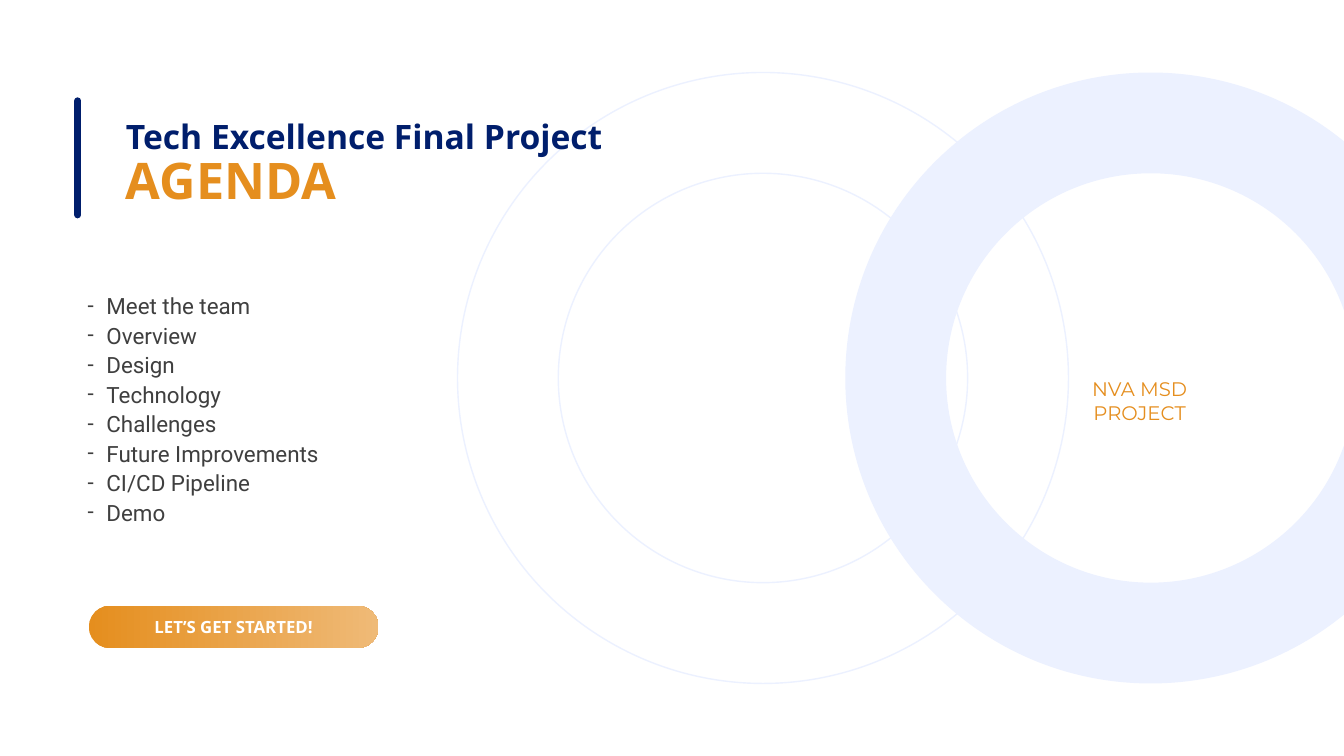
"""Build the agenda slide of the final project deck."""
import math

from lxml import etree
from pptx import Presentation
from pptx import util as u
from pptx.dml import color
from pptx.enum import shapes, text
from pptx.oxml import ns

TITLE = [("Tech Excellence Final Project", 24, "navy", 1.0), ("AGENDA", 36, "orange", 0.9)]
AGENDA = ["Meet the team", "Overview", "Design", "Technology", "Challenges",
          "Future Improvements", "CI/CD Pipeline", "Demo"]
BUTTON = "LET’S GET STARTED!"
LABEL = "NVA MSD PROJECT"
COLORS = {"navy": "001E6C", "orange": "E58E1E", "sand": "EFBA77",
          "ice": "ECF1FF", "gray": "3F3F3F", "white": "FFFFFF"}

WIDTH, HEIGHT = 960, 540
CENTER_Y = HEIGHT / 2
OUTER, INNER = 218.2, 146.2
SOLID_X, OUTLINE_X = 822, 545
UNITS = 100
INDENT = 13.5


def rgb(name):
    return color.RGBColor.from_string(COLORS[name])


def add_run(paragraph, words, size, font, tone, bold=False):
    run = paragraph.add_run()
    run.text = words
    run.font.size, run.font.name, run.font.bold = u.Pt(size), font, bold
    run.font.color.rgb = rgb(tone)


def set_frame(frame, anchor, margins=(0, 0)):
    frame.word_wrap = True
    frame.auto_size = text.MSO_AUTO_SIZE.NONE
    frame.vertical_anchor = anchor
    frame.margin_left = frame.margin_right = u.Pt(margins[0])
    frame.margin_top = frame.margin_bottom = u.Pt(margins[1])


def box(left, top, width, height):
    return [u.Pt(value) for value in (left, top, width, height)]


def clipped_arc(radius):
    """Return Bezier points from the upper to the lower crossing of the right edge."""
    def at(angle, pull=0):
        x = math.cos(angle) - pull * math.sin(angle)
        y = math.sin(angle) + pull * math.cos(angle)
        return (SOLID_X + radius * x) * UNITS, (CENTER_Y - radius * y) * UNITS

    start = math.acos((WIDTH - SOLID_X) / radius)
    angles = [start, math.pi / 2, math.pi, 1.5 * math.pi, 2 * math.pi - start]
    points = [at(start)]
    for begin, end in zip(angles, angles[1:]):
        pull = 4 / 3 * math.tan((end - begin) / 4)
        points += [at(begin, pull), at(end, -pull), at(end)]
    return points


def round_segments(ring, straight):
    """Join the line segments in threes into curves, except the straight one."""
    lines = list(ring.element.iter(ns.qn("a:lnTo")))
    curved = lines[:straight] + lines[straight + 1:]
    for first in range(0, len(curved), 3):
        curve = etree.Element(ns.qn("a:cubicBezTo"))
        curved[first].addprevious(curve)
        for line in curved[first:first + 3]:
            curve.append(line[0])
            line.getparent().remove(line)


def add_rings(slide):
    outer, inner = clipped_arc(OUTER), clipped_arc(INNER)[::-1]
    builder = slide.shapes.build_freeform(*outer[0], scale=u.Pt(1) / UNITS)
    builder.add_line_segments(outer[1:] + inner, close=True)
    solid = builder.convert_to_shape()
    round_segments(solid, len(outer) - 1)
    solid.shadow.inherit = False
    solid.fill.solid()
    solid.fill.fore_color.rgb = rgb("ice")
    solid.line.fill.background()

    outline = slide.shapes.add_shape(shapes.MSO_SHAPE.DONUT, *box(
        OUTLINE_X - OUTER, CENTER_Y - OUTER, 2 * OUTER, 2 * OUTER))
    outline.adjustments[0] = (OUTER - INNER) / (2 * OUTER)
    outline.shadow.inherit = False
    outline.fill.background()
    outline.line.color.rgb = rgb("ice")
    outline.line.width = u.Pt(1)
    return outline


def add_title(slide, backdrop):
    title = slide.shapes.title
    title.left, title.top, title.width, title.height = box(90, 77, 376, 79)
    backdrop.element.addnext(title.element)
    frame = title.text_frame
    set_frame(frame, text.MSO_ANCHOR.MIDDLE)
    for index, (words, size, tone, spacing) in enumerate(TITLE):
        line = frame.add_paragraph() if index else frame.paragraphs[0]
        line.alignment = text.PP_ALIGN.LEFT
        line.line_spacing = spacing
        line.space_before = u.Pt(0)
        add_run(line, words, size, "Open Sans", tone, True)

    accent = slide.shapes.add_connector(
        shapes.MSO_CONNECTOR.STRAIGHT, u.Pt(55.6), u.Pt(72), u.Pt(55.6), u.Pt(153.5))
    accent.line.color.rgb = rgb("navy")
    accent.line.width = u.Pt(5)
    accent.line._get_or_add_ln().set("cap", "rnd")
    etree.SubElement(accent.element.spPr, ns.qn("a:effectLst"))


def add_agenda(slide):
    frame = slide.shapes.add_textbox(*box(62.6, 206.9, 410, 174)).text_frame
    set_frame(frame, text.MSO_ANCHOR.TOP)
    for index, topic in enumerate(AGENDA):
        item = frame.add_paragraph() if index else frame.paragraphs[0]
        properties = item._p.get_or_add_pPr()
        properties.set("marL", str(u.Pt(INDENT)))
        properties.set("indent", str(-u.Pt(INDENT)))
        tint = etree.SubElement(properties, ns.qn("a:buClr"))
        etree.SubElement(tint, ns.qn("a:srgbClr"), val=COLORS["gray"])
        etree.SubElement(properties, ns.qn("a:buFont"), typeface="Roboto")
        etree.SubElement(properties, ns.qn("a:buChar"), char="-")
        item.line_spacing = 1.1
        add_run(item, topic, 16, "Roboto", "gray")


def add_button(slide):
    button = slide.shapes.add_shape(
        shapes.MSO_SHAPE.ROUNDED_RECTANGLE, *box(63.4, 432.7, 207, 30.2))
    button.adjustments[0] = 0.5
    button.shadow.inherit = False
    button.fill.gradient()
    button.fill.gradient_angle = 0
    for stop, tone in zip(button.fill.gradient_stops, ("orange", "sand")):
        stop.color.rgb = rgb(tone)
    button.line.fill.background()
    set_frame(button.text_frame, text.MSO_ANCHOR.MIDDLE)
    caption = button.text_frame.paragraphs[0]
    caption.alignment = text.PP_ALIGN.CENTER
    add_run(caption, BUTTON, 12, "Open Sans", "white", True)


def add_label(slide):
    frame = slide.shapes.add_textbox(*box(749.5, 266, 129, 41)).text_frame
    set_frame(frame, text.MSO_ANCHOR.TOP, (7.2, 3.6))
    label = frame.paragraphs[0]
    label.alignment = text.PP_ALIGN.CENTER
    add_run(label, LABEL, 14, "Montserrat", "orange")


def main():
    deck = Presentation()
    deck.slide_width, deck.slide_height = u.Pt(WIDTH), u.Pt(HEIGHT)
    slide = deck.slides.add_slide(deck.slide_layouts.get_by_name("Title Only"))
    add_title(slide, add_rings(slide))
    add_agenda(slide)
    add_button(slide)
    add_label(slide)
    deck.save("out.pptx")


if __name__ == "__main__":
    main()
